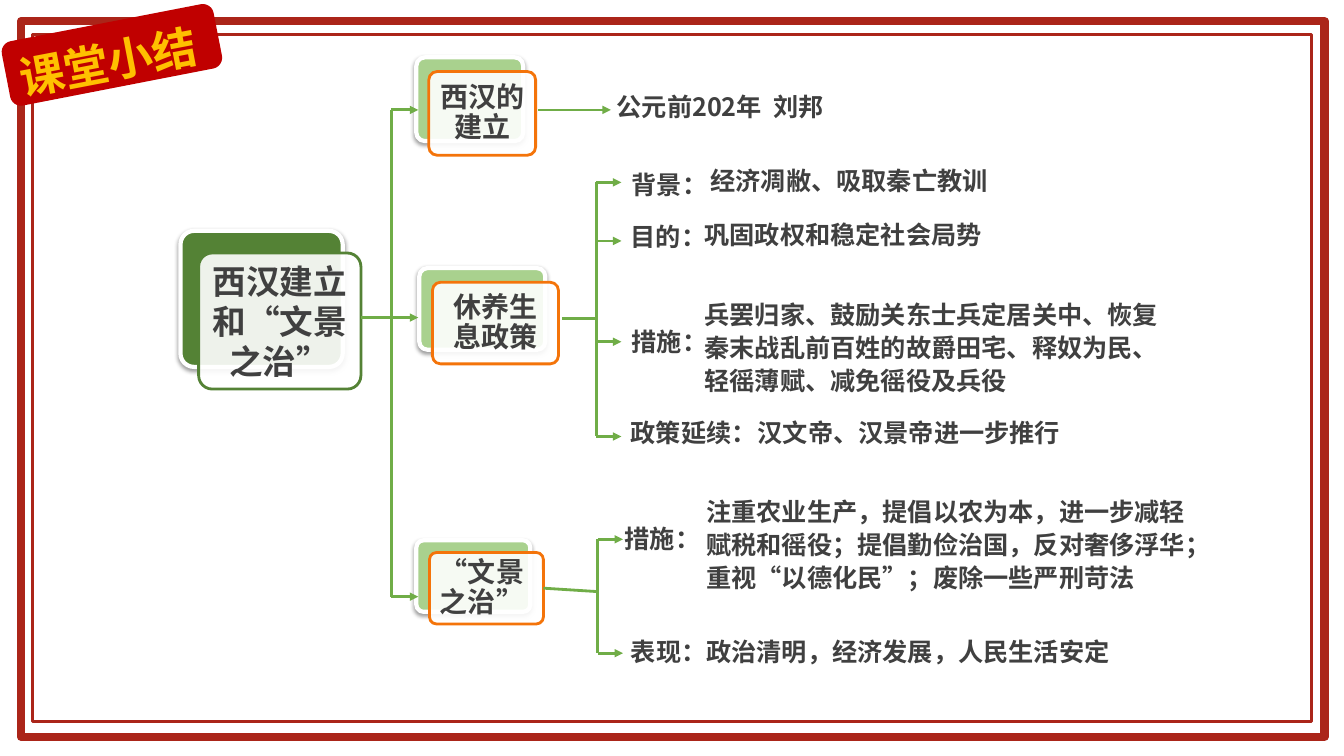
from lxml.etree import SubElement
from pptx import Presentation
from pptx.dml.color import RGBColor
from pptx.enum.lang import MSO_LANGUAGE_ID
from pptx.enum.shapes import MSO_CONNECTOR, MSO_SHAPE
from pptx.enum.text import MSO_ANCHOR, PP_ALIGN
from pptx.oxml.ns import qn
from pptx.util import Pt

WHITE = RGBColor(0xFF, 0xFF, 0xFF)
FRAME_RED = RGBColor(0xAB, 0x25, 0x19)
BADGE_RED = RGBColor(0xC0, 0x00, 0x00)
BADGE_YELLOW = RGBColor(0xFF, 0xC0, 0x00)
LIGHT_GREEN = RGBColor(0xA9, 0xD1, 0x8E)
DARK_GREEN = RGBColor(0x54, 0x82, 0x35)
LINE_GREEN = RGBColor(0x70, 0xAD, 0x47)
ORANGE = RGBColor(0xF4, 0x74, 0x0A)
TEXT_GREY = RGBColor(0x40, 0x40, 0x40)
CHINESE_FONT = "Noto Sans CJK SC"

# left, top, width, text
NOTES = [
    (433.4, 61.9, 185, "公元前202年  刘邦"),
    (444.2, 117.4, 69, "背景："),
    (500.4, 114.5, 216, "经济凋敝、吸取秦亡教训"),
    (443.5, 154.8, 69, "目的："),
    (496.1, 153.4, 216, "巩固政权和稳定社会局势"),
    (444.2, 229.7, 64, "措施："),
    (443.5, 294.5, 91, "政策延续："),
    (534.2, 294.5, 234, "汉文帝、汉景帝进一步推行"),
    (439.2, 370.1, 63, "措施："),
    (443.5, 450.7, 63, "表现："),
    (497.5, 450.7, 305, "政治清明，经济发展，人民生活安定"),
]
PARAGRAPHS = [
    (496.1, 208.1, 349.2, "兵罢归家、鼓励关东士兵定居关中、恢复秦末战乱前百姓的故爵田宅、释奴为民、轻徭薄赋、减免徭役及兵役"),
    (497.5, 348.5, 362.9, "注重农业生产，提倡以农为本，进一步减轻赋税和徭役；提倡勤俭治国，反对奢侈浮华；重视“以德化民”；废除一些严刑苛法"),
]


def write(shape, text, size, color=TEXT_GREY, latin=CHINESE_FONT, spacing=None,
          align=PP_ALIGN.LEFT):
    shape.text_frame.text = text
    paragraph = shape.text_frame.paragraphs[0]
    paragraph.alignment = align
    if spacing:
        paragraph.line_spacing = spacing
    for run in paragraph.runs:
        font = run.font
        font.name, font.size, font.bold = latin, Pt(size), True
        font.color.rgb = color
        font.language_id = MSO_LANGUAGE_ID.SIMPLIFIED_CHINESE
        east_asian = SubElement(run._r.get_or_add_rPr(), qn("a:ea"))
        east_asian.set("typeface", CHINESE_FONT)


def add_panel(slide, kind, left, top, width, height, fill=None, line=None, line_width=0):
    shape = slide.shapes.add_shape(kind, Pt(left), Pt(top), Pt(width), Pt(height))
    shape.shadow.inherit = False
    if fill is None:
        shape.fill.background()
    else:
        shape.fill.solid()
        shape.fill.fore_color.rgb = fill
    if line is None:
        shape.line.fill.background()
    else:
        shape.line.color.rgb = line
        shape.line.width = Pt(line_width)
    return shape


def set_alpha(color_element, percent):
    SubElement(color_element, qn("a:alpha")).set("val", str(percent * 1000))


def add_drop_shadow(shape):
    effects = shape._element.spPr.find(qn("a:effectLst"))
    shadow = SubElement(effects, qn("a:outerShdw"), blurRad=str(Pt(3.1)),
                        dist=str(Pt(1.6)), dir="5400000", rotWithShape="0")
    set_alpha(SubElement(shadow, qn("a:srgbClr"), val="000000"), 38)


def add_card(slide, left, top, width, height, offset, text, size=20, spacing=0.9,
             back_color=LIGHT_GREEN, border=ORANGE, align=PP_ALIGN.CENTER):
    """Add a shadowed back plate and, shifted by offset, a translucent text plate."""
    rounded = MSO_SHAPE.ROUNDED_RECTANGLE
    back = add_panel(slide, rounded, left, top, width, height, back_color, WHITE, 3)
    add_drop_shadow(back)
    front = add_panel(slide, rounded, left + offset[0], top + offset[1], width, height,
                      WHITE, border, 2)
    set_alpha(front._element.spPr.find(qn("a:solidFill"))[0], 90)
    for plate in (back, front):
        plate.adjustments[0] = 0.1
    frame = front.text_frame
    frame.word_wrap = True
    frame.vertical_anchor = MSO_ANCHOR.MIDDLE
    frame.margin_left = frame.margin_right = Pt(6)
    frame.margin_top = frame.margin_bottom = Pt(6)
    write(front, text, size, spacing=spacing, align=align)
    return front


def add_line(slide, start, end, width=2, arrow=False):
    line = slide.shapes.add_connector(MSO_CONNECTOR.STRAIGHT, *map(Pt, start + end))
    line.line.color.rgb = LINE_GREEN
    line.line.width = Pt(width)
    if arrow:
        SubElement(line.line._get_or_add_ln(), qn("a:tailEnd"), type="triangle")
    SubElement(line._element.spPr, qn("a:effectLst"))
    return line


def add_bracket(slide, stem_start, stem_end, branch_tops, reach):
    """Add a stem, an upright at its end, and one arrow per branch; return the stem."""
    x = stem_end[0]
    add_line(slide, (x, branch_tops[0]), (x, branch_tops[-1]))
    for y in branch_tops:
        add_line(slide, (x, y), (x + reach, y), arrow=True)
    return add_line(slide, stem_start, stem_end)


def add_note(slide, left, top, width, text, height=28.8, wrap=False, spacing=None):
    box = slide.shapes.add_textbox(Pt(left), Pt(top), Pt(width), Pt(height))
    box.text_frame.word_wrap = wrap
    write(box, text, 18, spacing=spacing)


def add_frame_and_badge(slide):
    add_panel(slide, MSO_SHAPE.RECTANGLE, 15.1, 15.1, 931, 511.2, None, FRAME_RED, 6)
    add_panel(slide, MSO_SHAPE.RECTANGLE, 23, 24.5, 913.7, 491, None, FRAME_RED, 2.25)
    badge = add_panel(slide, MSO_SHAPE.ROUNDED_RECTANGLE, 2.9, 15.8, 154.1, 46.8, BADGE_RED)
    badge.rotation = 349
    badge.text_frame.vertical_anchor = MSO_ANCHOR.MIDDLE
    write(badge, "课堂小结", 32, BADGE_YELLOW, "Calibri", 1.2)


def main():
    presentation = Presentation()
    presentation.slide_width, presentation.slide_height = Pt(960), Pt(540)
    slide = presentation.slides.add_slide(presentation.slide_layouts[6])

    add_frame_and_badge(slide)
    add_card(slide, 297.4, 41, 76.3, 59.8, (8.9, 10.1), "西汉的建立")
    add_card(slide, 299.5, 191.5, 90, 58.3, (9.4, 10.1), "休养生息政策")
    era_card = add_card(slide, 297.4, 385.9, 81.4, 51.1, (9.4, 8.7), "“文景之治”",
                        align=PP_ALIGN.LEFT)
    add_card(slide, 128.9, 164.9, 115.9, 97.2, (13, 15.8), "西汉建立和“文景之治”",
             24, 1, DARK_GREEN, DARK_GREEN)

    add_bracket(slide, (257.8, 226.8), (279.4, 226.8), (78.5, 226.8, 426.2), 19.4)
    add_line(slide, (384.5, 78.5), (436.3, 78.5), 1.5, arrow=True)
    add_bracket(slide, (401.8, 227.5), (425.9, 227.5), (130.3, 172.1, 244.1, 311.8), 18)
    era_stem = add_bracket(slide, (388.1, 421.2), (427, 422.6), (385.2, 466.6), 18)
    era_stem.begin_connect(era_card, 3)

    for note in NOTES:
        add_note(slide, *note)
    for paragraph in PARAGRAPHS:
        add_note(slide, *paragraph, height=76.3, wrap=True, spacing=1.1)
    presentation.save("out.pptx")


if __name__ == "__main__":
    main()
